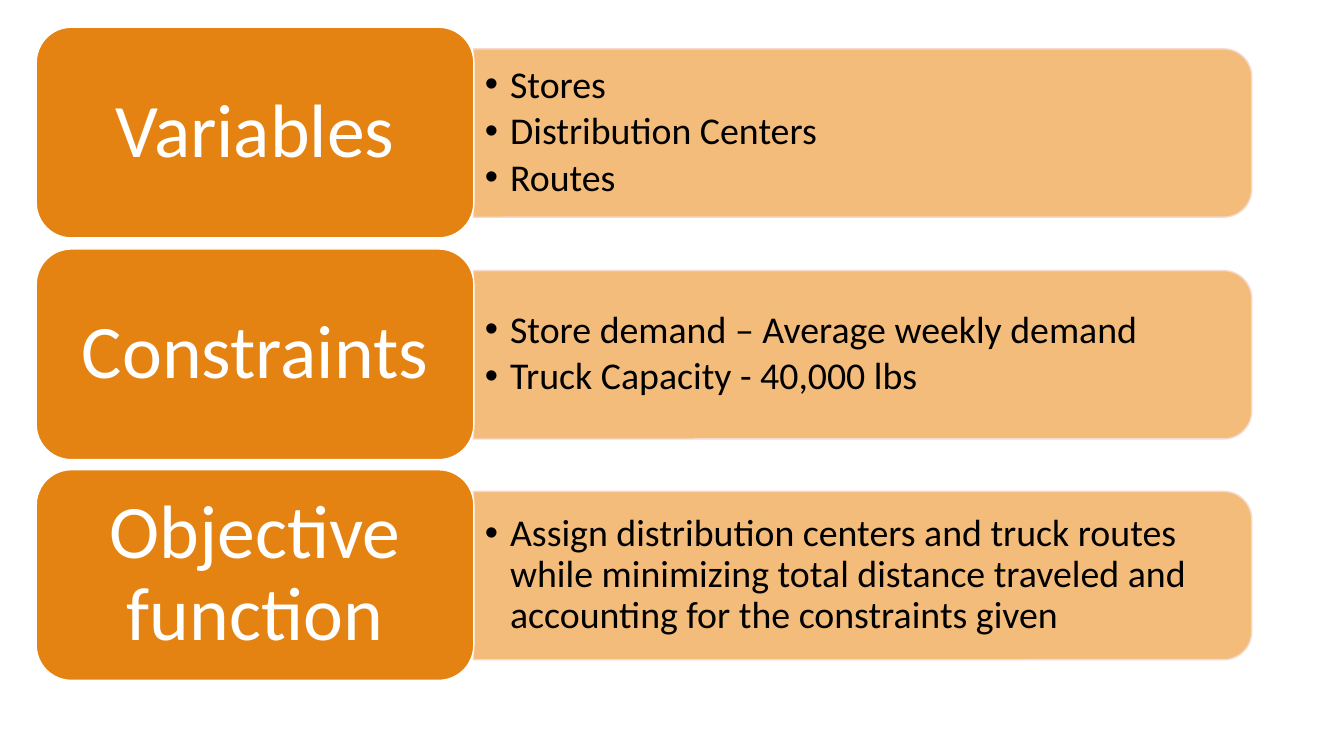
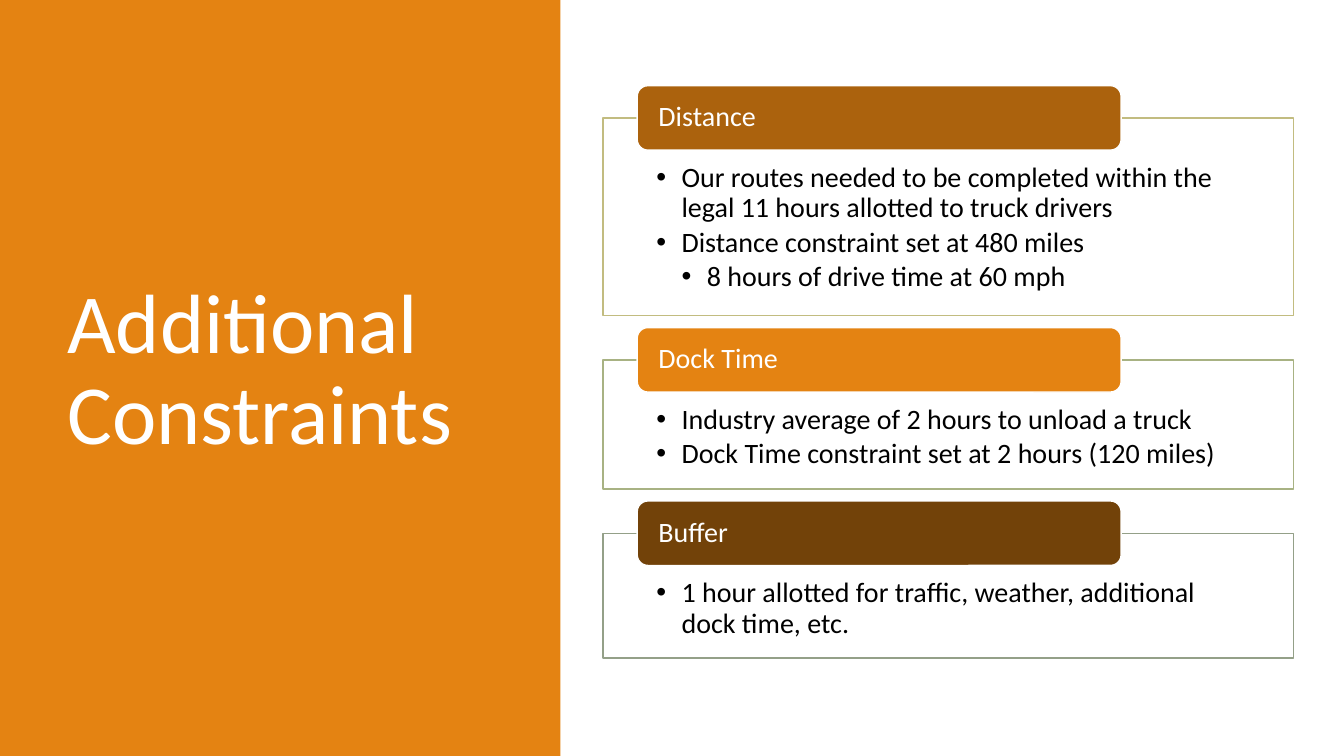
from lxml import etree
from pptx import Presentation
from pptx.dml.color import RGBColor
from pptx.enum import shapes, text
from pptx.oxml import ns
from pptx.util import Pt

PX = 9144  # 100 px to the inch
FONT = "Calibri"
WHITE, BLACK, ORANGE, PEACH = "FFFFFF", "000000", "E48312", "F3B56C"
KINDS = shapes.MSO_SHAPE


def add_box(slide, kind, x, y, w, h, fill=None, line=None, alpha=None):
    """Add a flat shape, or a text box when kind is None."""
    rect = [v * PX for v in (x, y, w, h)]
    if kind is None:
        return slide.shapes.add_textbox(*rect)
    sp = slide.shapes.add_shape(kind, *rect)
    sp.shadow.inherit = False
    sp.fill.solid()
    sp.fill.fore_color.rgb = RGBColor.from_string(fill)
    if alpha:
        clr = sp.fill._xPr.find(".//" + ns.qn("a:srgbClr"))
        etree.SubElement(clr, ns.qn("a:alpha"), val=str(alpha * 1000))
    if line:
        sp.line.color.rgb = RGBColor.from_string(line)
        sp.line.width = Pt(1)
    else:
        sp.line.fill.background()
    return sp


def write(sp, lines, size, color, insets=(10, 5, 10, 5), align="LEFT",
          anchor="MIDDLE", bullets=False, gap=0):
    """Fill a shape with paragraphs; each line is (level, words)."""
    tf = sp.text_frame
    tf.word_wrap = True
    tf.vertical_anchor = text.MSO_ANCHOR[anchor]
    (tf.margin_left, tf.margin_top,
     tf.margin_right, tf.margin_bottom) = [v * PX for v in insets]
    for i, (level, words) in enumerate(lines):
        p = tf.add_paragraph() if i else tf.paragraphs[0]
        if bullets:
            pPr = p._p.get_or_add_pPr()
            pPr.set("marL", str(25 * PX * level))
            pPr.set("indent", str(-25 * PX))
            etree.SubElement(pPr, ns.qn("a:buFont"), typeface="Arial")
            etree.SubElement(pPr, ns.qn("a:buChar"), char="•")
        p.alignment = text.PP_ALIGN[align]
        p.line_spacing = 0.9
        if i:
            p.space_before = Pt(gap)
        r = p.add_run()
        r.text = words
        r.font.name, r.font.size = FONT, Pt(size)
        r.font.color.rgb = RGBColor.from_string(color)


prs = Presentation()
prs.slide_width, prs.slide_height = 1333 * PX, 750 * PX
blank = prs.slide_layouts[6]

# Slide 1: model parts, a heading block with a bar to its right
s = prs.slides.add_slide(blank)
parts = [
    ("Variables", ["Stores", "Distribution Centers", "Routes"]),
    ("Constraints", ["Store demand – Average weekly demand",
                     "Truck Capacity - 40,000 lbs"]),
    ("Objective function", [
        "Assign distribution centers and truck routes while minimizing "
        "total distance traveled and accounting for the constraints given"]),
]
head_h, bar_x, bar_w, bar_h = 209, 470, 772, 167
for i, (heading, items) in enumerate(parts):
    top = 27 + (i * 439 + 1) // 2
    bar_y = top + (head_h - bar_h) // 2
    # The bar stands upright and is turned so its round corners face right
    shift = (bar_w - bar_h) // 2
    bar = add_box(s, KINDS.ROUND_2_SAME_RECTANGLE, bar_x + shift,
                  bar_y - shift, bar_h, bar_w, PEACH, "F5D9CC", alpha=90)
    bar.rotation = 90
    write(add_box(s, None, bar_x, bar_y + 8, 764, 151),
          [(1, item) for item in items], 27, BLACK, (11, 6, 11, 6),
          bullets=True, gap=4)
    head = add_box(s, KINDS.ROUNDED_RECTANGLE, 36, top, 434, head_h,
                   ORANGE, WHITE)
    write(head, [(0, heading)], 54, WHITE, (23, 11, 23, 11), align="CENTER")

# Slide 2: title panel and framed constraints
s = prs.slides.add_slide(blank)
add_box(s, KINDS.RECTANGLE, 0, 0, 556, 750, ORANGE)
write(add_box(s, None, 57, 68, 416, 602), [(0, "Additional Constraints")],
      60, WHITE)

sections = [
    ("Distance", "AB620D", "C2BC80", 196, [
        (1, "Our routes needed to be completed within the legal 11 hours "
            "allotted to truck drivers"),
        (1, "Distance constraint set at 480 miles"),
        (2, "8 hours of drive time at 60 mph")]),
    ("Dock Time", ORANGE, "A8B283", 128, [
        (1, "Industry average of 2 hours to unload a truck"),
        (1, "Dock Time constraint set at 2 hours (120 miles)")]),
    ("Buffer", "724209", "94A088", 124, [
        (1, "1 hour allotted for traffic, weather, additional dock time, "
            "etc.")]),
]
top = 85
for heading, tab_color, frame_color, frame_h, items in sections:
    frame_y = top + 32
    frame = add_box(s, KINDS.RECTANGLE, 598, frame_y, 685, frame_h,
                    WHITE, frame_color)
    write(frame, items, 20, BLACK, (53, 45, 53, 16), anchor="TOP",
          bullets=True, gap=3)
    tab = add_box(s, KINDS.ROUNDED_RECTANGLE, 632, top, 480, 64,
                  tab_color, WHITE)
    write(tab, [(0, heading)], 20, WHITE, (18, 0, 18, 0))
    top = frame_y + frame_h + 12

prs.save("out.pptx")
